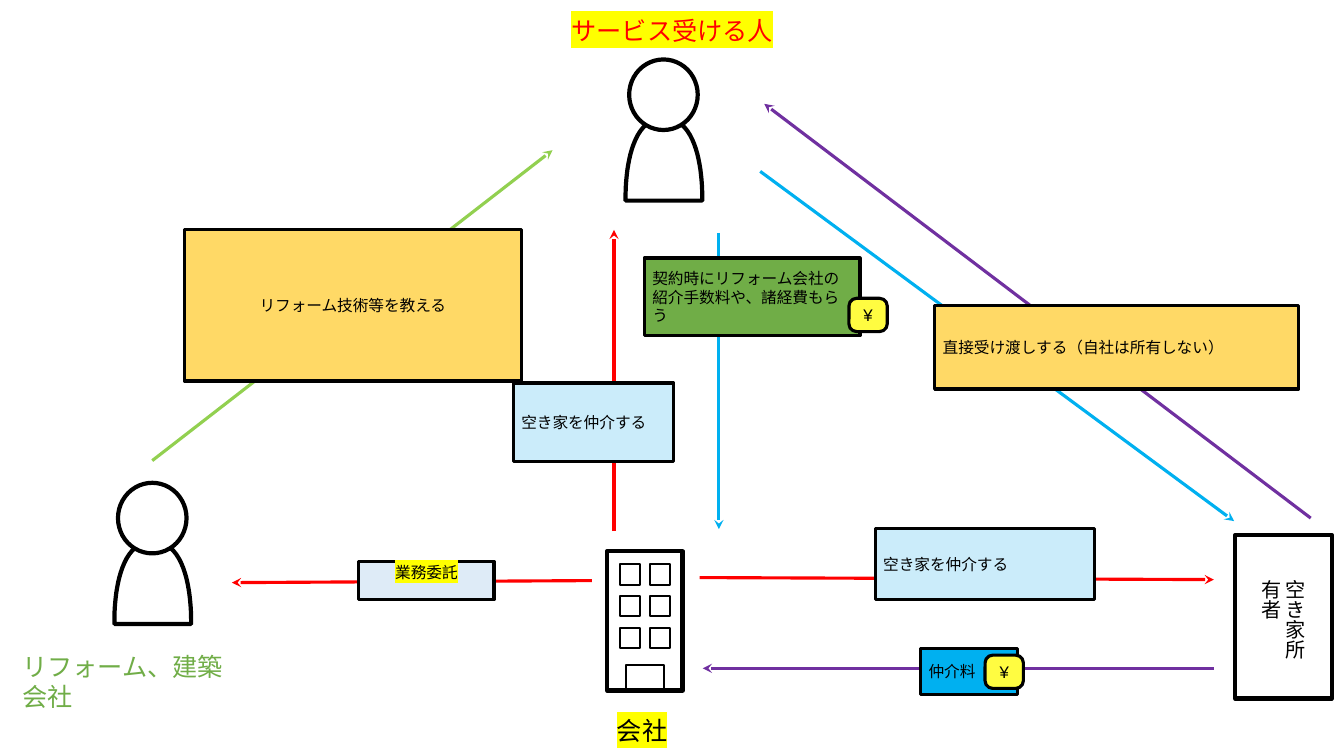
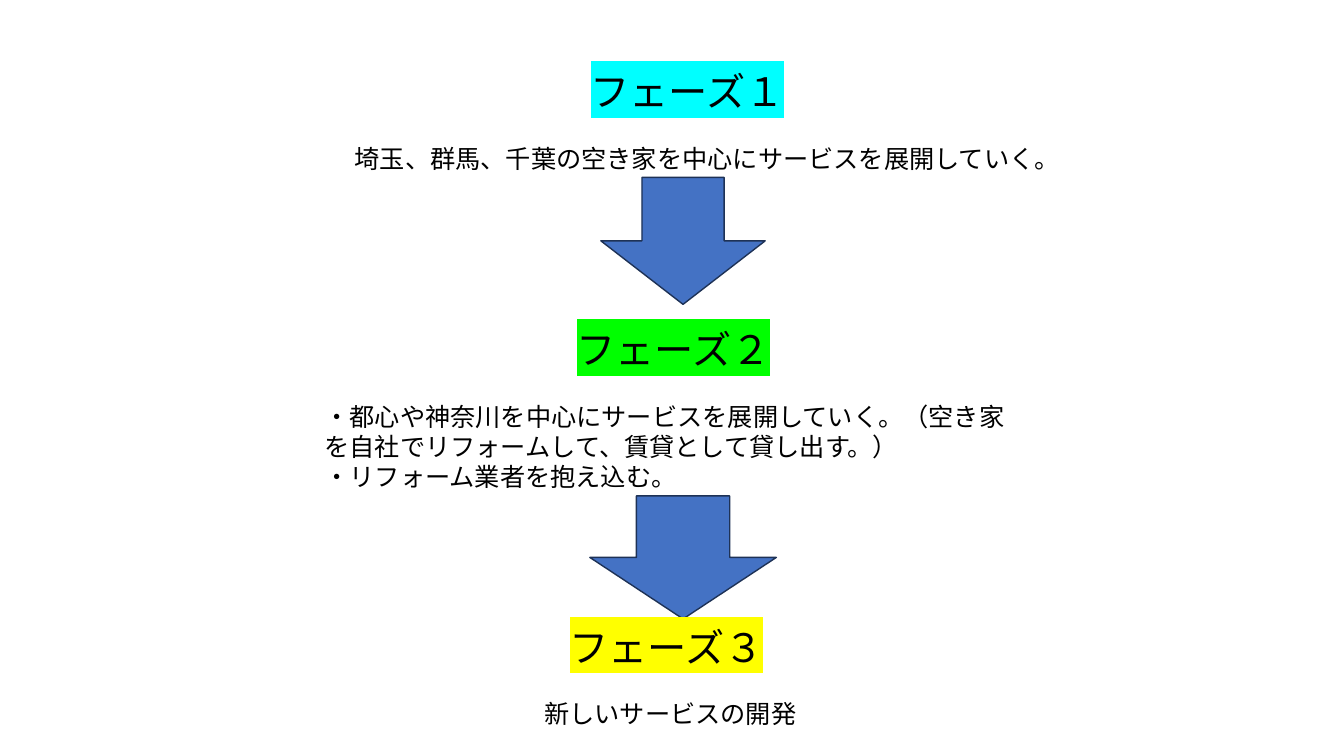
from lxml.etree import SubElement
from pptx import Presentation
from pptx.dml.color import RGBColor
from pptx.enum.shapes import MSO_CONNECTOR, MSO_SHAPE
from pptx.enum.text import MSO_ANCHOR, PP_ALIGN
from pptx.oxml.ns import qn
from pptx.util import Inches, Pt

HUES = {
    "black": "000000", "white": "FFFFFF", "red": "FF0000", "blue": "00B0F0",
    "lime": "92D050", "purple": "7030A0", "gold": "FFD966", "pale": "DEEBF7",
    "sky": "CBECFA", "green": "70AD47", "coin": "FFFC41", "yellow": "FFFF00",
    "cyan": "00FFFF", "neon": "00FF00", "navy": "4472C4", "edge": "1E3256",
}
CJK = "Noto Sans CJK JP"
LEFT, MID = PP_ALIGN.LEFT, PP_ALIGN.CENTER


def rgb(hue):
    return RGBColor.from_string(HUES[hue])


def paint(shape, fill, line="black", width=2.25):
    """Set fill and outline; a fill of None leaves the shape open."""
    shape.shadow.inherit = False
    if fill:
        shape.fill.solid()
        shape.fill.fore_color.rgb = rgb(fill)
    else:
        shape.fill.background()
    shape.line.color.rgb = rgb(line)
    shape.line.width = Pt(width)


def block(shapes, kind, box, fill, line="black", width=2.25):
    shape = shapes.add_shape(kind, *map(Inches, box))
    paint(shape, fill, line, width)
    return shape


def write(frame, lines, size, hue="black", font=CJK, mark=None, align=LEFT):
    """Fill a text frame, one paragraph for each line."""
    frame.word_wrap = True
    for i, line in enumerate(lines):
        para = frame.add_paragraph() if i else frame.paragraphs[0]
        para.alignment = align
        para.font.size = Pt(size)
        para.font.name = font
        para.font.color.rgb = rgb(hue)
        run = para.add_run()
        run.text = line
        props = run._r.get_or_add_rPr()
        if mark:
            glow = SubElement(props, qn("a:highlight"))
            SubElement(glow, qn("a:srgbClr"), val=HUES[mark])
        SubElement(props, qn("a:ea"), typeface=CJK)


def label(slide, box, lines, size=18, **style):
    frame = slide.shapes.add_textbox(*map(Inches, box)).text_frame
    write(frame, lines, size, **style)
    return frame


def card(slide, box, text, fill, align=LEFT, font="Arial", mark=None,
         size=11.2, pad=0.08, foot=0.08, kind=MSO_SHAPE.RECTANGLE):
    """Outlined box with a short text in its middle."""
    shape = block(slide.shapes, kind, box, fill)
    frame = shape.text_frame
    frame.vertical_anchor = MSO_ANCHOR.MIDDLE
    frame.margin_left = frame.margin_right = frame.margin_top = Inches(pad)
    frame.margin_bottom = Inches(foot)
    write(frame, [text], size, font=font, mark=mark, align=align)
    return shape


def coin(slide, left, top):
    shape = card(slide, (left, top, 0.38, 0.33), "¥", "coin", MID, size=12,
                 pad=0.03, foot=0.03, kind=MSO_SHAPE.ROUNDED_RECTANGLE)
    shape.adjustments[0] = 0.23


def arrow(slide, start, tip, hue):
    line = slide.shapes.add_connector(
        MSO_CONNECTOR.STRAIGHT, *map(Inches, start + tip))
    line.line.color.rgb = rgb(hue)
    line.line.width = Pt(2.25)
    SubElement(line.line._get_or_add_ln(), qn("a:tailEnd"), type="stealth")
    SubElement(line._element.spPr, qn("a:effectLst"))


def person(slide, left, top):
    """Round head over a body with curved shoulders."""
    shapes = slide.shapes.add_group_shape().shapes
    wide, high, steps = 0.75, 0.82, 24
    neck, base = top + 0.58, top + 1.4
    half = []
    for i in range(steps + 1):
        t = i / steps
        s = 1 - t
        # Cubic curve from the right foot up to the neck
        x = (s**3 + 3 * s * s * t) * 0.38 + 3 * s * t * t * 0.41
        y = (s**3 + 3 * s * s * t) * high
        half.append((x, y))
    mid = left + wide / 2
    right = [(Inches(mid + x), Inches(neck + y)) for x, y in half]
    back = [(Inches(mid - x), Inches(neck + y)) for x, y in half[-2::-1]]
    pen = shapes.build_freeform(*right[0])
    pen.add_line_segments(right[1:] + back, close=True)
    paint(pen.convert_to_shape(), "white", width=3)
    assert base > neck
    block(shapes, MSO_SHAPE.OVAL, (left + 0.03, top, 0.68, 0.7), "white",
          width=3)


def office(slide, left, top):
    """Building with a grid of windows and a door."""
    shapes = slide.shapes.add_group_shape().shapes
    rect = MSO_SHAPE.RECTANGLE
    block(shapes, rect, (left, top, 0.75, 1.38), "white", width=3)
    for row in range(3):
        for col in range(2):
            box = (left + 0.13 + 0.3 * col, top + 0.13 + 0.315 * row, 0.2, 0.2)
            block(shapes, rect, box, "white", width=1.5)
    block(shapes, rect, (left + 0.19, top + 1.13, 0.38, 0.25), None, width=1.5)


def owner(slide, left, top):
    """Framed upright text."""
    frame = label(slide, (left + 0.07, top + 0.34, 0.69, 1.15),
                  ["空き家所有者"], 14.4)
    frame._txBody.bodyPr.set("vert", "eaVert")
    block(slide.shapes, MSO_SHAPE.RECTANGLE, (left, top, 0.96, 1.62), None,
          width=3)


def scheme(slide):
    # Parties
    person(slide, 6.21, 0.59)
    person(slide, 1.14, 4.79)
    office(slide, 6.02, 5.47)
    owner(slide, 12.25, 5.31)
    # Flows, from start to tip
    for start, tip, hue in (
        ((6.09, 5.27), (6.09, 2.28), "red"),
        ((7.13, 2.31), (7.13, 5.25), "blue"),
        ((1.51, 4.57), (5.48, 1.49), "lime"),
        ((5.87, 5.76), (2.3, 5.78), "red"),
        ((13, 5.14), (7.58, 1.03), "purple"),
        ((7.54, 1.7), (12.24, 5.17), "blue"),
        ((12.04, 6.63), (6.97, 6.63), "purple"),
        ((6.94, 5.73), (12.04, 5.75), "red"),
    ):
        arrow(slide, start, tip, hue)
    # Flow captions
    card(slide, (1.83, 2.28, 3.34, 1.5), "リフォーム技術等を教える", "gold", MID)
    card(slide, (3.56, 5.57, 1.34, 0.38), "業務委託", "pale", MID,
         mark="yellow", foot=0.25)
    card(slide, (5.09, 3.8, 1.59, 0.78), "空き家を仲介する", "sky", font="Roboto")
    card(slide, (6.39, 2.56, 2.14, 0.77),
         "契約時にリフォーム会社の紹介手数料や、諸経費もらう", "green")
    card(slide, (9.27, 3.03, 3.61, 0.83),
         "直接受け渡しする（自社は所有しない）", "gold")
    card(slide, (9.13, 6.43, 0.96, 0.46), "仲介料", "blue")
    card(slide, (8.68, 5.24, 2.18, 0.71), "空き家を仲介する", "sky")
    coin(slide, 9.77, 6.5)
    coin(slide, 8.42, 2.96)
    # Party names
    label(slide, (5.57, 0.1, 2.23, 0.4), ["サービス受ける人"], hue="red",
          mark="yellow")
    label(slide, (0.12, 6.41, 2.22, 0.71), ["リフォーム、建築会社"], hue="green")
    label(slide, (6.02, 7.05, 1.41, 0.4), ["会社"], mark="yellow")


def phase(slide, left, top, title, mark, font, body, lines):
    """Marked heading, with its text below."""
    label(slide, (left, top, 2.78, 0.57), [title], 28, font=font, mark=mark)
    inset, wide, high = body
    label(slide, (inset, top + 0.75, wide, high), lines)


def phases(slide):
    # Arrows between phases
    for box in ((5.96, 1.76, 1.63, 1.26), (5.85, 4.92, 1.85, 1.22)):
        block(slide.shapes, MSO_SHAPE.DOWN_ARROW, box, "navy", "edge", 1)
    # Phases
    phase(slide, 5.76, 0.62, "フェーズ１", "cyan", CJK, (3.42, 9, 0.4),
          ["埼玉、群馬、千葉の空き家を中心にサービスを展開していく。"])
    phase(slide, 5.62, 3.18, "フェーズ２", "neon", "Arial", (3.12, 7.09, 1.01),
          ["・都心や神奈川を中心にサービスを展開していく。"
           "（空き家を自社でリフォームして、賃貸として貸し出す。）",
           "・リフォーム業者を抱え込む。"])
    phase(slide, 5.55, 6.13, "フェーズ３", "yellow", "Arial", (5.3, 7.32, 0.4),
          ["新しいサービスの開発"])


def main():
    deck = Presentation()
    deck.slide_width, deck.slide_height = Inches(13.33), Inches(7.5)
    for draw in (scheme, phases):
        draw(deck.slides.add_slide(deck.slide_layouts[6]))
    deck.save("out.pptx")


if __name__ == "__main__":
    main()
